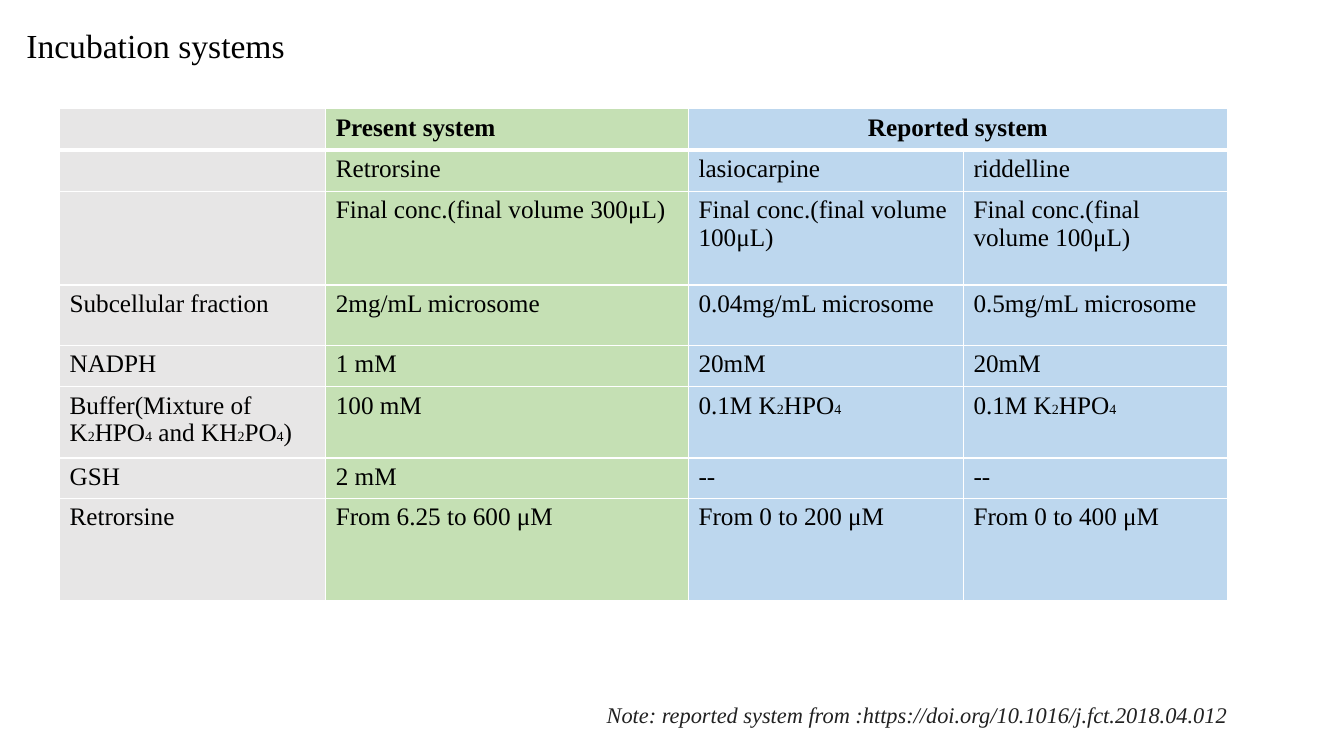
from lxml.etree import SubElement as Sub
from pptx import Presentation
from pptx.dml.color import RGBColor as Rgb
from pptx.enum.text import MSO_ANCHOR as Anchor, PP_ALIGN as Align
from pptx.oxml.ns import qn
from pptx.util import Cm, Pt

HEX = {"ink": "000000", "note": "212121", "line": "FFFFFF",
       "gray": "E7E6E6", "green": "C5E0B4", "blue": "BDD7EE"}
FILLS = ["gray", "green", "blue", "blue"]
COLS = [6.71, 9.14, 6.93, 6.65]
ROWS = [1.04, 1.04, 2.36, 1.52, 1.04, 1.8, 1.02, 2.57]

# An underscore sets the next character small
CELLS = [
    ["", "Present system", "Reported system", ""],
    ["", "Retrorsine", "lasiocarpine", "riddelline"],
    ["", "Final conc.(final volume 300μL)",
     "Final conc.(final volume 100μL)", "Final conc.(final volume 100μL)"],
    ["Subcellular fraction", "2mg/mL microsome",
     "0.04mg/mL microsome", "0.5mg/mL microsome"],
    ["NADPH", "1 mM", "20mM", "20mM"],
    ["Buffer(Mixture of K_2HPO_4 and KH_2PO_4)", "100 mM",
     "0.1M K_2HPO_4", "0.1M K_2HPO_4"],
    ["GSH", "2 mM", "--", "--"],
    ["Retrorsine", "From 6.25 to 600 μM",
     "From 0 to 200 μM", "From 0 to 400 μM"],
]


class Page:
    face = "Times New Roman"
    size = 18
    small = 10

    def __init__(self, deck):
        self.slide = deck.slides.add_slide(deck.slide_layouts[5])

    def run(self, para, text, size, ink="ink", bold=False, slant=False):
        run = para.add_run()
        run.text = text
        font = run.font
        font.name, font.size = self.face, Pt(size)
        font.bold, font.italic = bold, slant
        font.color.rgb = Rgb.from_string(HEX[ink])

    def title(self, text, left, top, width, height):
        box = self.slide.shapes.title
        box.left, box.top = Cm(left), Cm(top)
        box.width, box.height = Cm(width), Cm(height)
        frame = box.text_frame
        frame.vertical_anchor = Anchor.TOP
        para = frame.paragraphs[0]
        para.alignment = Align.LEFT
        self.run(para, text, 24)

    def note(self, text, left, top, width, height):
        box = self.slide.shapes.add_textbox(
            Cm(left), Cm(top), Cm(width), Cm(height))
        frame = box.text_frame
        frame.word_wrap = True
        self.run(frame.paragraphs[0], text, 16, "note", slant=True)

    def edge(self, cell, row):
        props = cell._tc.get_or_add_tcPr()
        thick = {0: "lnB", 1: "lnT"}.get(row)
        for side in ("lnL", "lnR", "lnT", "lnB"):
            width = Pt(3 if side == thick else 1)
            line = Sub(props, qn("a:" + side), w=str(width))
            fill = Sub(line, qn("a:solidFill"))
            Sub(fill, qn("a:srgbClr"), val=HEX["line"])

    def cell(self, cell, text, row, fill):
        self.edge(cell, row)
        cell.fill.solid()
        cell.fill.fore_color.rgb = Rgb.from_string(HEX[fill])
        para = cell.text_frame.paragraphs[0]
        head, *tail = text.split("_")
        parts = [(head, self.size)]
        for part in tail:
            parts += [(part[0], self.small), (part[1:], self.size)]
        for part, size in parts:
            if part:
                self.run(para, part, size, bold=row == 0)

    def table(self, left, top):
        grid = self.slide.shapes.add_table(
            len(ROWS), len(COLS), Cm(left), Cm(top),
            Cm(sum(COLS)), Cm(sum(ROWS))).table
        grid.first_row = grid.horz_banding = False
        for col, width in zip(grid.columns, COLS):
            col.width = Cm(width)
        for row, height in zip(grid.rows, ROWS):
            row.height = Cm(height)
        for r, texts in enumerate(CELLS):
            for c, text in enumerate(texts):
                self.cell(grid.cell(r, c), text, r, FILLS[c])
        # Shared heading over both reported columns
        head = grid.cell(0, 2)
        head.merge(grid.cell(0, 3))
        head.text_frame.paragraphs[0].alignment = Align.CENTER


def main():
    deck = Presentation()
    deck.slide_width, deck.slide_height = Cm(33.87), Cm(19.05)
    page = Page(deck)
    page.title("Incubation systems", 0.41, 0.51, 12.73, 1.27)
    page.table(1.5, 2.74)
    page.note("Note: reported system from "
              ":https://doi.org/10.1016/j.fct.2018.04.012",
              15.04, 17.55, 18.8, 0.94)
    deck.save("out.pptx")


if __name__ == "__main__":
    main()
